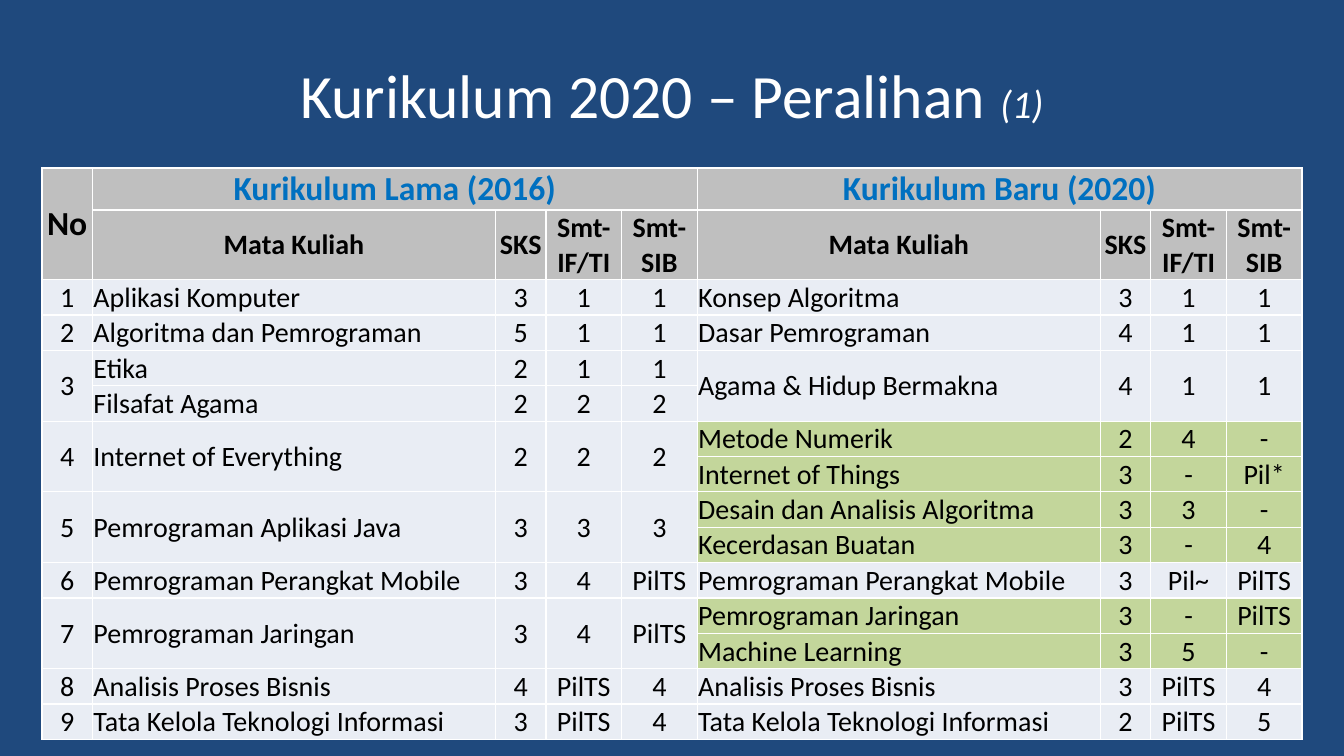
from dataclasses import dataclass

import lxml.etree
import pptx
import pptx.dml.color
import pptx.enum.text
import pptx.oxml.ns
import pptx.util

TITLE, PART = "Kurikulum 2020 – Peralihan ", "(1)"
CURRICULA = ["Kurikulum Lama (2016)", "Kurikulum Baru (2020)"]
HEADINGS = ["Mata Kuliah", "SKS", "Smt-IF/TI", "Smt-SIB"]

# Each transition: the old courses and the new courses that replace them.
TRANSITIONS = [
    ([("Aplikasi Komputer", "3", "1", "1")],
     [("Konsep Algoritma", "3", "1", "1")]),
    ([("Algoritma dan Pemrograman", "5", "1", "1")],
     [("Dasar Pemrograman", "4", "1", "1")]),
    ([("Etika", "2", "1", "1"), ("Filsafat Agama", "2", "2", "2")],
     [("Agama & Hidup Bermakna", "4", "1", "1")]),
    ([("Internet of Everything", "2", "2", "2")],
     [("Metode Numerik", "2", "4", "-"), ("Internet of Things", "3", "-", "Pil*")]),
    ([("Pemrograman Aplikasi Java", "3", "3", "3")],
     [("Desain dan Analisis Algoritma", "3", "3", "-"), ("Kecerdasan Buatan", "3", "-", "4")]),
    ([("Pemrograman Perangkat Mobile", "3", "4", "PilTS")],
     [("Pemrograman Perangkat Mobile", "3", "Pil~", "PilTS")]),
    ([("Pemrograman Jaringan", "3", "4", "PilTS")],
     [("Pemrograman Jaringan", "3", "-", "PilTS"), ("Machine Learning", "3", "5", "-")]),
    ([("Analisis Proses Bisnis", "4", "PilTS", "4")],
     [("Analisis Proses Bisnis", "3", "PilTS", "4")]),
    ([("Tata Kelola Teknologi Informasi", "3", "PilTS", "4")],
     [("Tata Kelola Teknologi Informasi", "2", "PilTS", "5")]),
]


@dataclass(frozen=True)
class Theme:
    font: str = "Calibri"
    background: str = "1F497D"
    white: str = "FFFFFF"
    text: str = "000000"
    curriculum: str = "0070C0"
    header: str = "BFBFBF"
    body: str = "E9EDF4"
    split: str = "C3D69B"
    title_size: int = 44
    part_size: int = 28
    group_size: int = 24
    cell_size: int = 20


THEME = Theme()
SIDE_WIDTHS = [384, 48, 72, 72]
COLUMN_WIDTHS = [48] + SIDE_WIDTHS * 2
HEADER_HEIGHTS = [40, 66]
COURSE_HEIGHT = 33
CENTER = pptx.enum.text.PP_ALIGN.CENTER
LEFT = pptx.enum.text.PP_ALIGN.LEFT
MIDDLE = pptx.enum.text.MSO_ANCHOR.MIDDLE


def px(length):
    return pptx.util.Emu(length * 9525)


def rgb(color):
    return pptx.dml.color.RGBColor.from_string(color)


def add_run(paragraph, text, size, color, bold=False, italic=False):
    run = paragraph.add_run()
    run.text = text
    run.font.name = THEME.font
    run.font.size = pptx.util.Pt(size)
    run.font.color.rgb = rgb(color)
    run.font.bold = bold
    run.font.italic = italic


def prepare_cell(cell):
    """Set tight margins and white borders; borders must precede the fill."""
    cell.margin_left = cell.margin_right = cell.margin_top = px(1)
    cell.margin_bottom = 0
    cell.vertical_anchor = MIDDLE
    properties = cell._tc.get_or_add_tcPr()
    qn = pptx.oxml.ns.qn
    for edge in ("a:lnL", "a:lnR", "a:lnT", "a:lnB"):
        line = lxml.etree.SubElement(properties, qn(edge), w="12700")
        fill = lxml.etree.SubElement(line, qn("a:solidFill"))
        lxml.etree.SubElement(fill, qn("a:srgbClr"), val=THEME.white)
    cell.fill.solid()
    cell.fill.fore_color.rgb = rgb(THEME.body)


def fill_cell(table, row, column, text, fill=THEME.body, rows=1, columns=1,
              align=CENTER, size=THEME.cell_size, color=THEME.text, bold=False):
    cell = table.cell(row, column)
    if rows > 1 or columns > 1:
        cell.merge(table.cell(row + rows - 1, column + columns - 1))
    cell.fill.fore_color.rgb = rgb(fill)
    paragraph = cell.text_frame.paragraphs[0]
    paragraph.alignment = align
    add_run(paragraph, text, size, color, bold)


def add_title(slide):
    title = slide.shapes.title
    title.left, title.top, title.width, title.height = map(px, (64, 29, 1152, 120))
    title.text_frame.vertical_anchor = MIDDLE
    paragraph = title.text_frame.paragraphs[0]
    paragraph.alignment = CENTER
    add_run(paragraph, TITLE, THEME.title_size, THEME.white)
    add_run(paragraph, PART, THEME.part_size, THEME.white, italic=True)


def add_header(table):
    header = dict(fill=THEME.header, bold=True)
    fill_cell(table, 0, 0, "No", rows=2, size=THEME.group_size, **header)
    for side, curriculum in enumerate(CURRICULA):
        first = 1 + side * len(HEADINGS)
        fill_cell(table, 0, first, curriculum, columns=len(HEADINGS),
                  size=THEME.group_size, color=THEME.curriculum, **header)
        for column, heading in enumerate(HEADINGS, first):
            fill_cell(table, 1, column, heading, **header)


def add_transitions(table):
    row = len(HEADER_HEIGHTS)
    for number, (old, new) in enumerate(TRANSITIONS, 1):
        height = max(len(old), len(new))
        fill_cell(table, row, 0, str(number), rows=height)
        new_fill = THEME.split if len(new) > len(old) else THEME.body
        for side, (courses, fill) in enumerate([(old, THEME.body), (new, new_fill)]):
            span = height // len(courses)
            for index, course in enumerate(courses):
                for field, text in enumerate(course):
                    fill_cell(table, row + index * span, 1 + side * len(HEADINGS) + field,
                              text, fill, rows=span, align=CENTER if field else LEFT)
        row += height


def add_course_table(slide):
    course_rows = sum(max(len(old), len(new)) for old, new in TRANSITIONS)
    heights = HEADER_HEIGHTS + [COURSE_HEIGHT] * course_rows
    table = slide.shapes.add_table(
        len(heights), len(COLUMN_WIDTHS), px(40), px(160),
        px(sum(COLUMN_WIDTHS)), px(sum(heights))).table
    table.first_row = table.horz_banding = False
    for column, width in zip(table.columns, COLUMN_WIDTHS):
        column.width = px(width)
    for row, height in zip(table.rows, heights):
        row.height = px(height)
    for cell in table.iter_cells():
        prepare_cell(cell)
    add_header(table)
    add_transitions(table)


def main():
    deck = pptx.Presentation()
    deck.slide_width, deck.slide_height = px(1280), px(720)
    slide = deck.slides.add_slide(deck.slide_layouts[5])
    slide.background.fill.solid()
    slide.background.fill.fore_color.rgb = rgb(THEME.background)
    add_title(slide)
    add_course_table(slide)
    deck.save("out.pptx")


if __name__ == "__main__":
    main()
